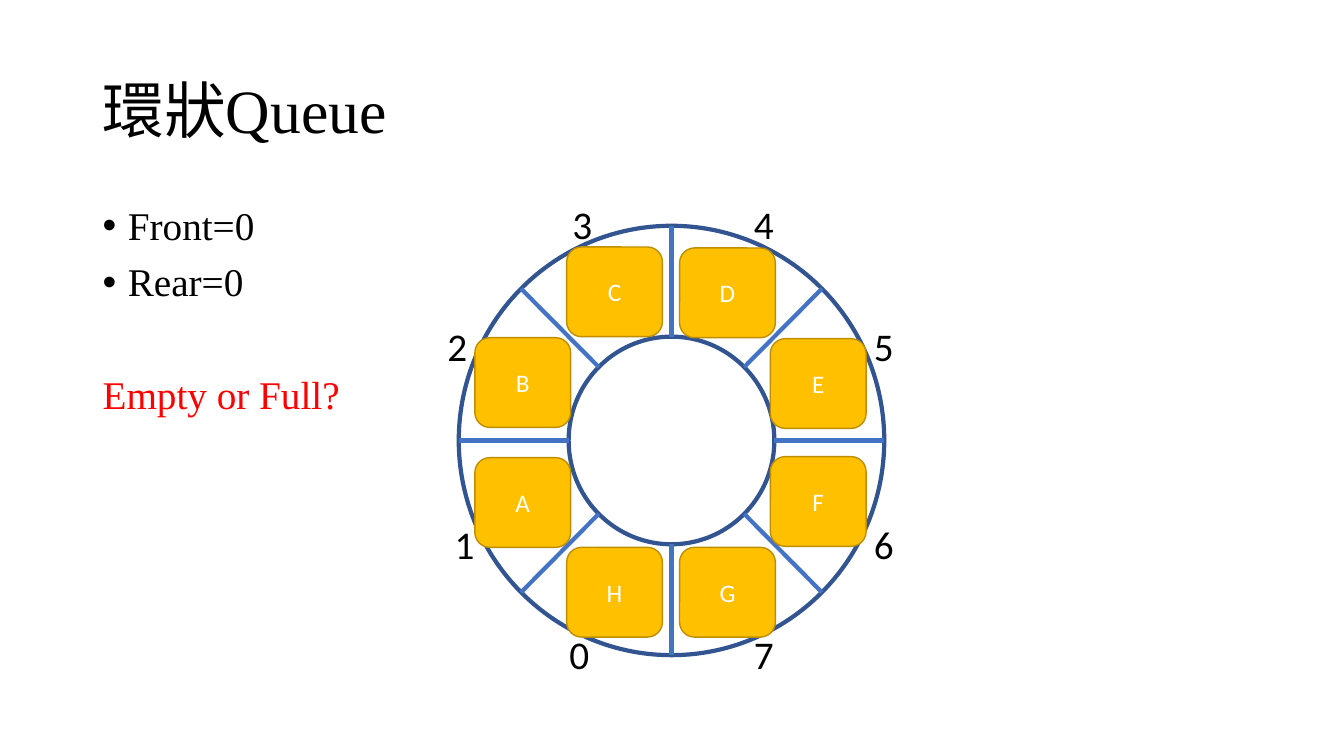
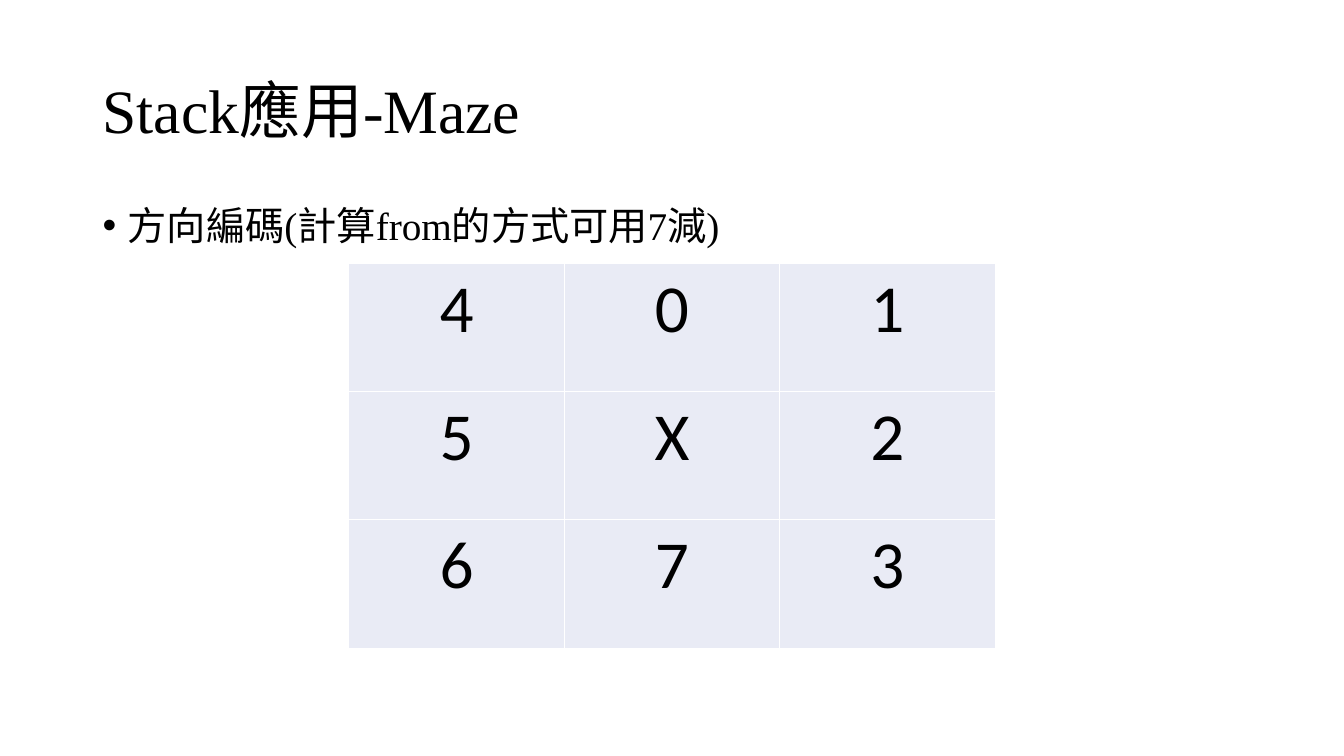
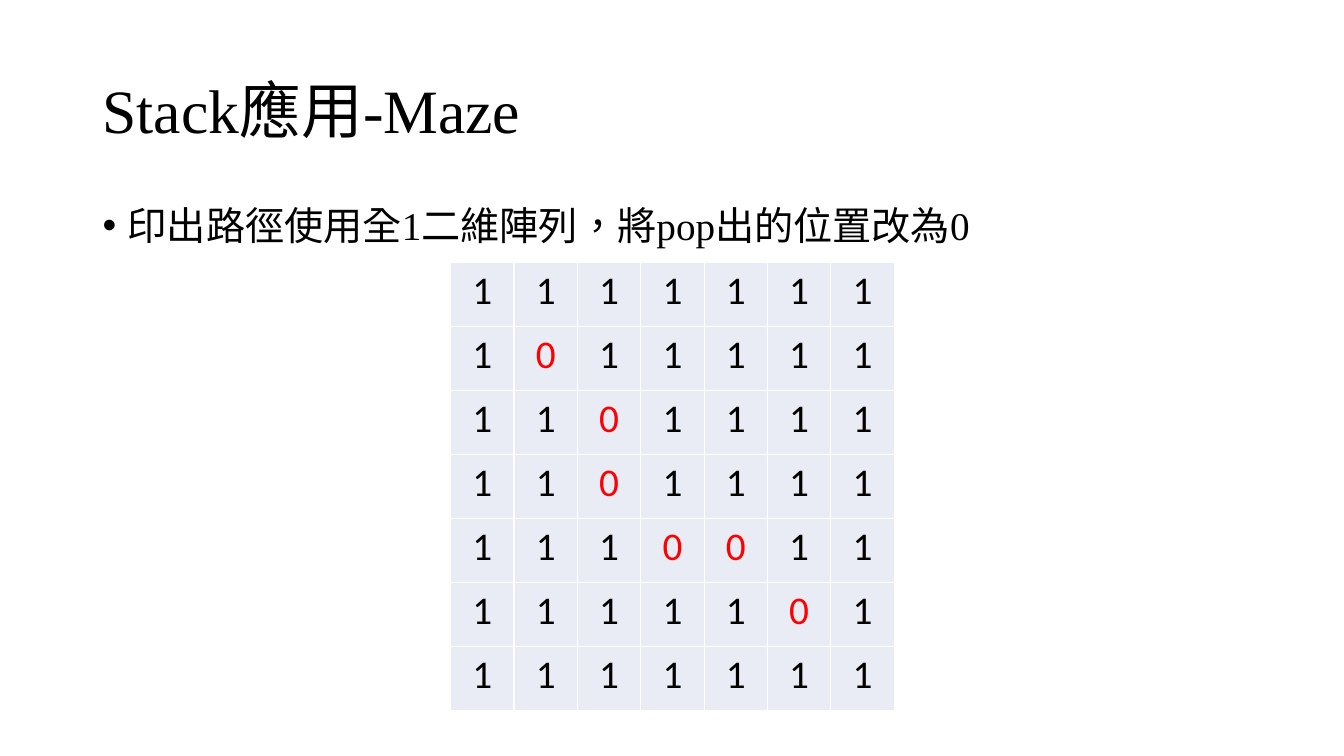
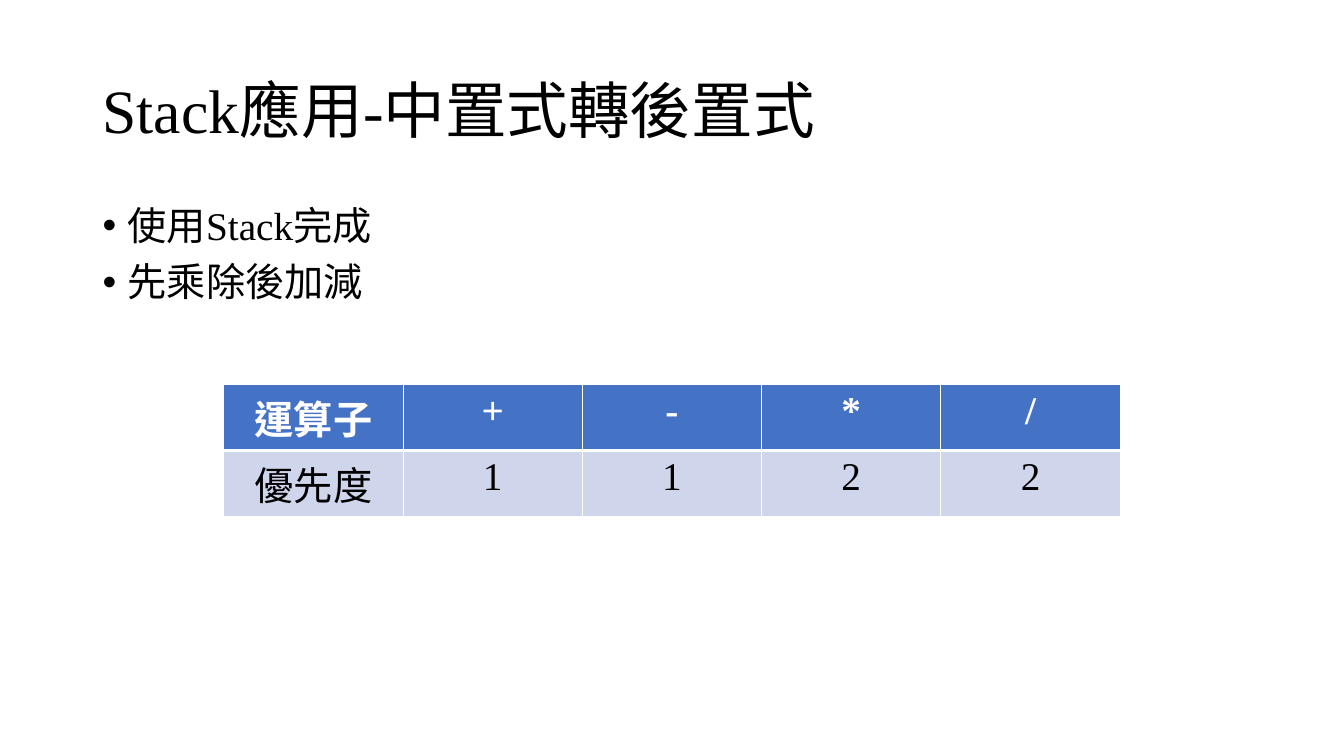
"""Build four slides on circular queues and stack applications."""
import math

from pptx import Presentation
from pptx.dml.color import RGBColor
from pptx.enum import lang, shapes, text
from pptx.oxml.xmlchemy import OxmlElement
from pptx.util import Inches, Pt

BLACK = RGBColor(0x00, 0x00, 0x00)
WHITE = RGBColor(0xFF, 0xFF, 0xFF)
RED = RGBColor(0xFF, 0x00, 0x00)
BLUE = RGBColor(0x44, 0x72, 0xC4)
DARK_BLUE = RGBColor(0x32, 0x54, 0x91)
GOLD = RGBColor(0xFF, 0xC0, 0x00)
DARK_GOLD = RGBColor(0xBD, 0x8E, 0x00)
PALE = RGBColor(0xE9, 0xEB, 0xF5)
PALE_BLUE = RGBColor(0xCF, 0xD5, 0xEA)
SERIF = "Times New Roman"
SANS = "Calibri"


class Deck:
    """Hold the shared style and the current slide."""

    def __init__(self):
        self.presentation = Presentation()
        self.presentation.slide_width = Inches(13.33)
        self.presentation.slide_height = Inches(7.5)
        self.slide = None

    def style(self, paragraph, size, font=SERIF, color=BLACK, bold=False):
        """Format every run of a paragraph."""
        for run in paragraph.runs:
            run.font.size = Pt(size)
            run.font.name = font
            run.font.color.rgb = color
            run.font.bold = bold
            run.font.language_id = lang.MSO_LANGUAGE_ID.TRADITIONAL_CHINESE

    def text_box(self, left, top, width, height, wrap=True):
        """Add a text box and return its frame."""
        box = self.slide.shapes.add_textbox(
            Inches(left), Inches(top), Inches(width), Inches(height))
        box.text_frame.word_wrap = wrap
        return box.text_frame

    def new_slide(self, title, bullets):
        """Start a slide with its title and bullet list."""
        self.slide = self.presentation.slides.add_slide(
            self.presentation.slide_layouts[6])
        frame = self.text_box(0.92, 0.4, 11.5, 1.45)
        frame.vertical_anchor = text.MSO_ANCHOR.MIDDLE
        frame.text = title
        frame.paragraphs[0].line_spacing = 0.9
        self.style(frame.paragraphs[0], 44)

        body = self.text_box(0.92, 2, 11.5, 4.76)
        body.text = "\n".join(bullets)
        for paragraph in body.paragraphs:
            self.body_style(paragraph)
            self.bullet(paragraph)
        return body

    def body_style(self, paragraph, color=BLACK, space_before=10):
        """Format a body paragraph."""
        paragraph.line_spacing = 0.9
        paragraph.space_before = Pt(space_before)
        self.style(paragraph, 28, color=color)

    def bullet(self, paragraph):
        """Give a paragraph a hanging round bullet."""
        properties = paragraph._p.get_or_add_pPr()
        properties.set("marL", str(Inches(0.25)))
        properties.set("indent", str(-Inches(0.25)))
        font = OxmlElement("a:buFont")
        font.set("typeface", "Arial")
        mark = OxmlElement("a:buChar")
        mark.set("char", "•")
        properties.extend([font, mark])

    def shape(self, kind, left, top, width, height, line, weight, fill=None):
        """Add a preset shape without a shadow."""
        shape = self.slide.shapes.add_shape(
            kind, Inches(left), Inches(top), Inches(width), Inches(height))
        shape.shadow.inherit = False
        shape.line.color.rgb = line
        shape.line.width = Pt(weight)
        if fill is None:
            shape.fill.background()
        else:
            shape.fill.solid()
            shape.fill.fore_color.rgb = fill
        return shape

    def ellipse(self, center, radii):
        """Add one outline of the ring."""
        (x, y), (across, down) = center, radii
        self.shape(shapes.MSO_SHAPE.OVAL, x - across, y - down,
                   2 * across, 2 * down, DARK_BLUE, 3)

    def item(self, label, left, top):
        """Add a queue item."""
        shape = self.shape(shapes.MSO_SHAPE.ROUNDED_RECTANGLE, left, top,
                           0.95, 0.89, DARK_GOLD, 1, GOLD)
        frame = shape.text_frame
        frame.text = label
        frame.vertical_anchor = text.MSO_ANCHOR.MIDDLE
        frame.paragraphs[0].alignment = text.PP_ALIGN.CENTER
        self.style(frame.paragraphs[0], 18, SANS, WHITE)

    def index(self, number, left, top):
        """Add a slot number beside the ring."""
        frame = self.text_box(left, top, 0.4, 0.57, wrap=False)
        frame.text = str(number)
        self.style(frame.paragraphs[0], 28, SANS)

    def line(self, start, end):
        """Add a straight divider."""
        connector = self.slide.shapes.add_connector(
            shapes.MSO_CONNECTOR.STRAIGHT,
            *(Inches(value) for value in (*start, *end)))
        connector.line.color.rgb = BLUE
        connector.line.width = Pt(3)
        connector.element.spPr.append(OxmlElement("a:effectLst"))

    def borders(self, cell, top=1, bottom=1):
        """Draw white borders around a cell."""
        properties = cell._tc.get_or_add_tcPr()
        for side, weight in (("L", 1), ("R", 1), ("T", top), ("B", bottom)):
            border = OxmlElement(f"a:ln{side}")
            border.set("w", str(Pt(weight)))
            fill = OxmlElement("a:solidFill")
            color = OxmlElement("a:srgbClr")
            color.set("val", str(WHITE))
            fill.append(color)
            border.append(fill)
            properties.append(border)

    def table(self, rows, left, top, width, height, size, font=SANS,
              fill=PALE, header=False, marked=None):
        """Add a centred grid with an optional header and marked value."""
        table = self.slide.shapes.add_table(
            len(rows), len(rows[0]), Inches(left), Inches(top),
            Inches(width), Inches(height)).table
        table.first_row = header
        table.horz_banding = False
        for row_number, row in enumerate(rows):
            heading = header and row_number == 0
            for column_number, value in enumerate(row):
                cell = table.cell(row_number, column_number)
                self.borders(cell, top=3 if header and row_number == 1 else 1,
                             bottom=3 if heading else 1)
                cell.fill.solid()
                cell.fill.fore_color.rgb = BLUE if heading else fill
                cell.text = value
                paragraph = cell.text_frame.paragraphs[0]
                paragraph.alignment = text.PP_ALIGN.CENTER
                color = WHITE if heading else RED if value == marked else BLACK
                self.style(paragraph, size, font, color, heading)


def queue_slide(deck):
    """Show a full circular queue."""
    body = deck.new_slide("環狀Queue", ["Front=0", "Rear=0"])
    question = body.add_paragraph()
    question.text = "Empty or Full?"
    deck.body_style(question, RED, 50)

    center, outer, inner = (6.66, 4.37), (2.11, 2.13), (1.02, 1.03)
    deck.ellipse(center, outer)
    deck.ellipse(center, inner)
    for step in range(8):
        angle = step * math.pi / 4
        direction = (math.cos(angle), math.sin(angle))
        start, end = (
            [middle + radius * part
             for middle, radius, part in zip(center, radii, direction)]
            for radii in (inner, outer))
        deck.line(start, end)

    index_places = [(5.55, 6.2), (4.41, 5.11), (4.34, 3.15), (5.58, 1.94),
                    (7.38, 1.94), (8.57, 3.15), (8.57, 5.11), (7.38, 6.2)]
    for number, place in enumerate(index_places):
        deck.index(number, *place)
    item_places = [(4.71, 4.54), (4.71, 3.35), (5.62, 2.45), (6.74, 2.46),
                   (7.64, 3.36), (7.64, 4.53), (6.74, 5.43), (5.62, 5.43)]
    for label, place in zip("ABCDEFGH", item_places):
        deck.item(label, *place)


def direction_slide(deck):
    """Show the maze direction codes."""
    deck.new_slide("Stack應用-Maze", ["方向編碼(計算from的方式可用7減)"])
    deck.table(["401", "5X2", "673"], 3.46, 2.61, 6.41, 3.82, 48)


def route_slide(deck):
    """Show the route through the maze."""
    deck.new_slide("Stack應用-Maze",
                   ["印出路徑使用全1二維陣列，將pop出的位置改為0"])
    maze = ["1111111", "1011111", "1101111", "1101111",
            "1110011", "1111101", "1111111"]
    deck.table(maze, 4.47, 2.6, 4.4, 4.45, 28, marked="0")


def operator_slide(deck):
    """Show operator priorities."""
    deck.new_slide("Stack應用-中置式轉後置式",
                   ["使用Stack完成", "先乘除後加減"])
    deck.table([["運算子", "+", "-", "*", "/"],
                ["優先度", "1", "1", "2", "2"]],
               2.22, 3.81, 8.89, 1.32, 28, SERIF, PALE_BLUE, header=True)


deck = Deck()
for build in (queue_slide, direction_slide, route_slide, operator_slide):
    build(deck)
deck.presentation.save("out.pptx")
